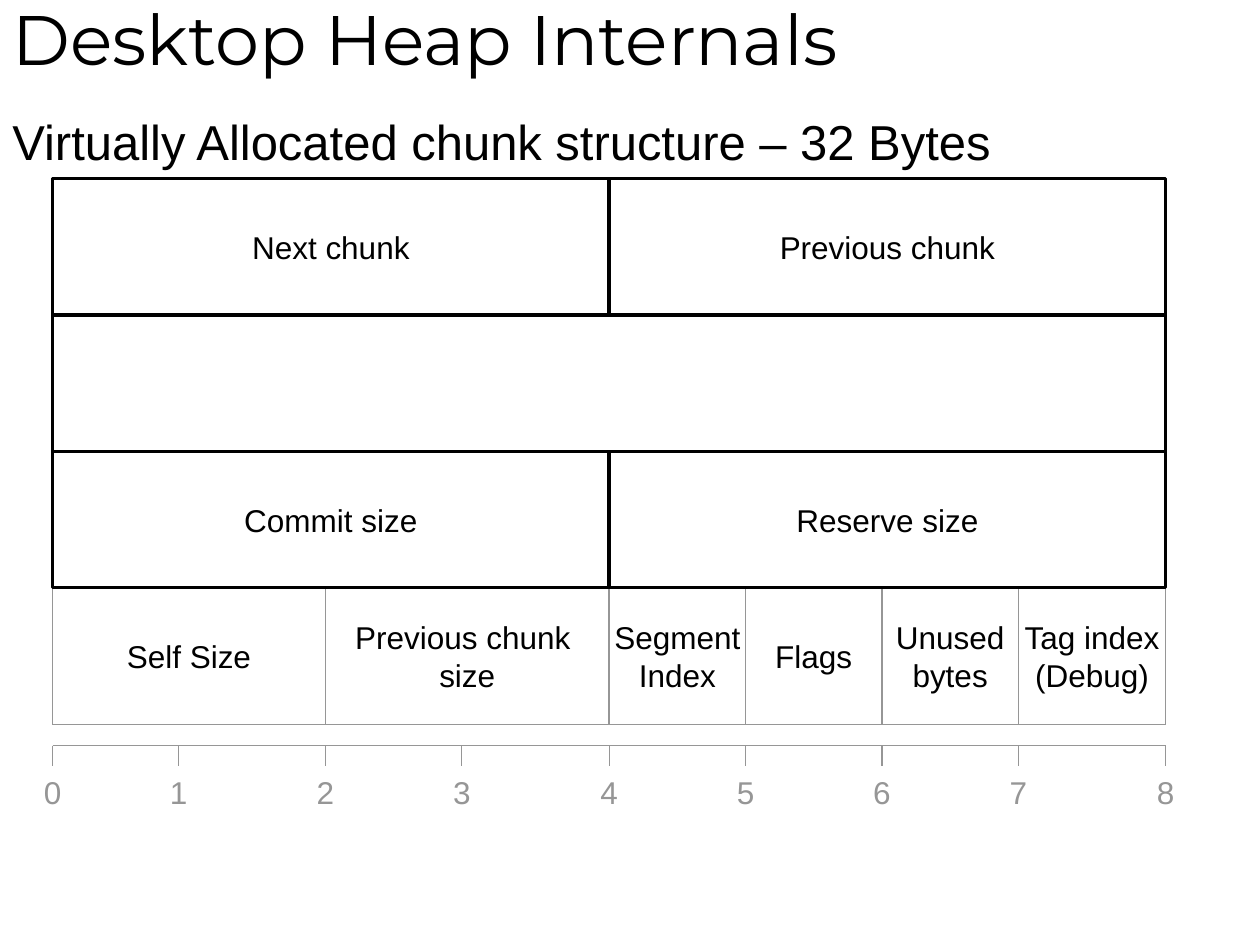
from lxml.etree import SubElement
from pptx import Presentation
from pptx.dml.color import RGBColor
from pptx.enum.shapes import MSO_CONNECTOR as Connector, MSO_SHAPE as Shape
from pptx.enum.text import MSO_ANCHOR as Anchor, PP_ALIGN as Align
from pptx.oxml.ns import qn
from pptx.util import Cm, Pt

BLACK = RGBColor(0x00, 0x00, 0x00)
GREY = RGBColor(0x96, 0x96, 0x96)
WHITE = RGBColor(0xFF, 0xFF, 0xFF)

# Distance of each byte mark from the left edge of the diagram, in cm
BYTE_MARKS = [0, 2.54, 5.5, 8.25, 11.22, 13.97, 16.72, 19.47, 22.44]
ROW_HEIGHT = 2.75

# Row number, line colour, line width, fields as (first byte, end byte, text)
CHUNK_ROWS = [
    (1, BLACK, 2, [(0, 8, "")]),
    (3, GREY, 0.75, [
        (0, 8, ""),
        (0, 2, "Self Size"),
        (2, 4, "Previous chunk \nsize"),
        (4, 5, "Segment\nIndex"),
        (5, 6, "Flags"),
        (6, 7, "Unused\nbytes"),
        (7, 8, "Tag index\n(Debug)"),
    ]),
    (0, BLACK, 2, [(0, 4, "Next chunk"), (4, 8, "Previous chunk")]),
    (2, BLACK, 2, [(0, 4, "Commit size"), (4, 8, "Reserve size")]),
]


def write(frame, text, size, color, align=Align.LEFT, font="Arial"):
    frame.text = text
    for para in frame.paragraphs:
        para.alignment = align
        para.font.name = font
        para.font.size = Pt(size)
        para.font.color.rgb = color


def add_headings(page, left, top, width):
    title = page.shapes.title
    title.left, title.top = Cm(left), Cm(top)
    title.width, title.height = Cm(width), Cm(1.9)
    title.text_frame.vertical_anchor = Anchor.MIDDLE
    write(title.text_frame, "Desktop Heap Internals", 40, BLACK, font="Montserrat")

    subtitle = page.shapes.add_textbox(Cm(left), Cm(top + 2.32), Cm(width), Cm(1.4))
    subtitle.text_frame.word_wrap = True
    write(subtitle.text_frame, "Virtually Allocated chunk structure – 32 Bytes", 28, BLACK)


def add_field(page, left, top, width, text, color, line_width):
    field = page.shapes.add_shape(
        Shape.RECTANGLE, Cm(left), Cm(top), Cm(width), Cm(ROW_HEIGHT))
    field.shadow.inherit = False
    field.fill.solid()
    field.fill.fore_color.rgb = WHITE
    field.line.color.rgb = color
    field.line.width = Pt(line_width)
    if text:
        field.text_frame.word_wrap = False
        field.text_frame.vertical_anchor = Anchor.MIDDLE
        write(field.text_frame, text, 18, BLACK, Align.CENTER)


def add_chunk_rows(page, left, top):
    for row, color, line_width, fields in CHUNK_ROWS:
        for first, end, text in fields:
            start = BYTE_MARKS[first]
            add_field(page, left + start, top + row * ROW_HEIGHT,
                      BYTE_MARKS[end] - start, text, color, line_width)


def add_line(page, x1, y1, x2, y2):
    line = page.shapes.add_connector(
        Connector.STRAIGHT, Cm(x1), Cm(y1), Cm(x2), Cm(y2))
    line.line.color.rgb = GREY
    line.line.width = Pt(0.75)
    SubElement(line._element.spPr, qn("a:effectLst"))


def add_byte_scale(page, left, top):
    tick, label_width = 0.42, 0.86
    add_line(page, left, top, left + BYTE_MARKS[-1], top)
    for number, mark in enumerate(BYTE_MARKS):
        x = left + mark
        add_line(page, x, top, x, top + tick)
        label = page.shapes.add_textbox(
            Cm(x - label_width / 2), Cm(top + tick), Cm(label_width), Cm(1.02))
        label.text_frame.word_wrap = False
        write(label.text_frame, str(number), 18, GREY, Align.CENTER)


def main():
    deck = Presentation()
    deck.slide_width, deck.slide_height = Cm(25.4), Cm(19.05)
    page = deck.slides.add_slide(deck.slide_layouts[5])
    add_headings(page, 0, -0.2, 25.4)
    add_byte_scale(page, 1.06, 15.03)
    add_chunk_rows(page, 1.06, 3.6)
    deck.save("out.pptx")


if __name__ == "__main__":
    main()
